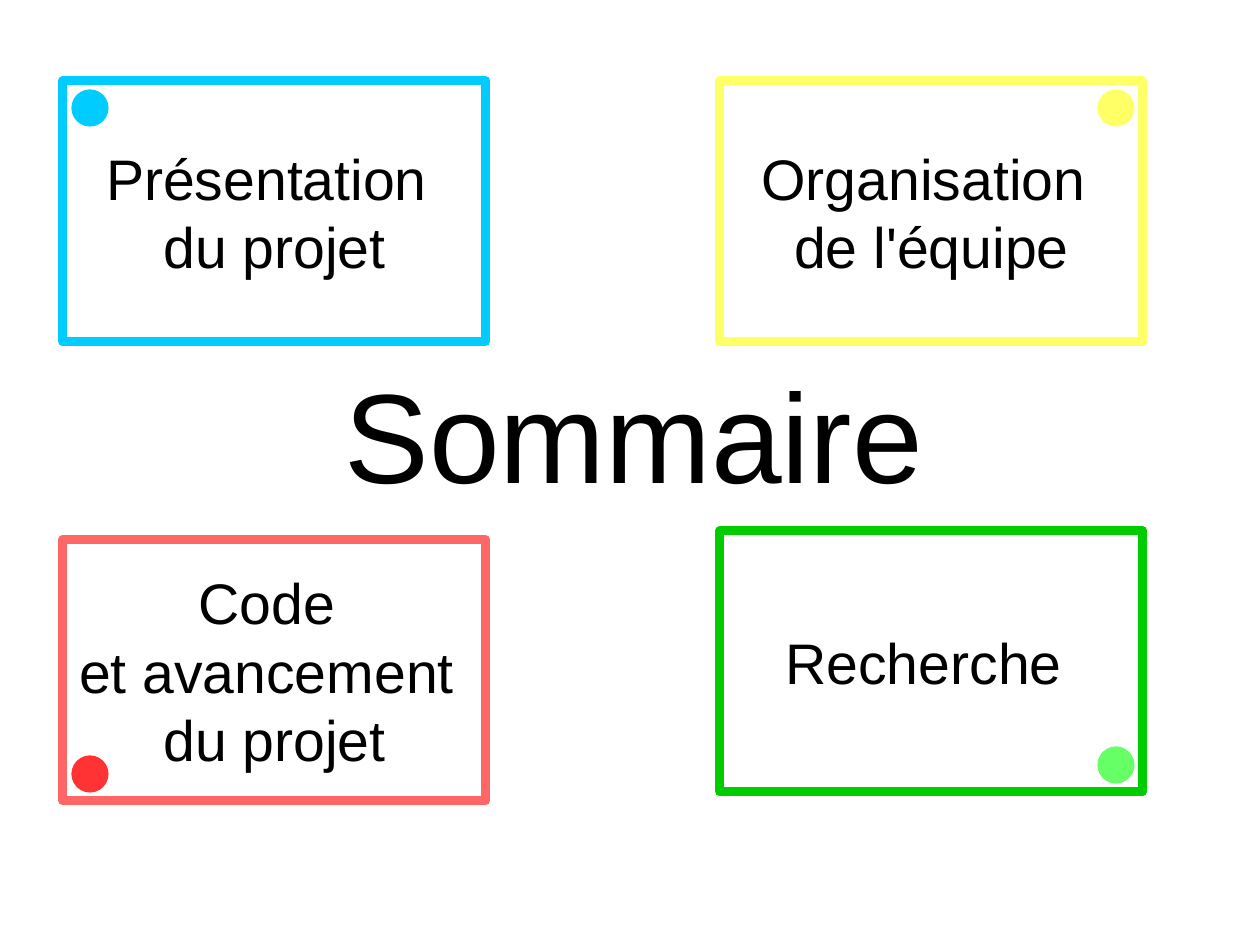
from pptx import Presentation
from pptx.dml.color import RGBColor as Rgb
from pptx.enum.shapes import MSO_SHAPE as Kind
from pptx.enum.text import MSO_ANCHOR as Anchor, MSO_AUTO_SIZE as Fit, PP_ALIGN as Align
from pptx.util import Cm, Pt

BLACK = Rgb(0x00, 0x00, 0x00)
BLUE = Rgb(0x00, 0xCC, 0xFF)
YELLOW = Rgb(0xFF, 0xFF, 0x66)
PINK = Rgb(0xFF, 0x66, 0x66)
RED = Rgb(0xFF, 0x33, 0x33)
GREEN = Rgb(0x00, 0xCC, 0x00)
LIME = Rgb(0x66, 0xFF, 0x66)

COLS, ROWS = 140, 105
LEFT, RIGHT = 7, 80
TOP = 9
CARD = (47, 29)
DOT = (4, 4)
GAP = 1


def write(frame, text, size=36, color=BLACK, font="Arial", align=Align.CENTER, anchor=Anchor.MIDDLE):
    frame.word_wrap = True
    frame.auto_size = Fit.NONE
    frame.vertical_anchor = anchor
    frame.text = text
    for para in frame.paragraphs:
        para.alignment = align
        for run in para.runs:
            run.font.name = font
            run.font.size = Pt(size)
            run.font.color.rgb = color


class Deck:
    def __init__(self, wide, high):
        self.show = Presentation()
        self.show.slide_width = Cm(wide)
        self.show.slide_height = Cm(high)
        self.col = self.show.slide_width // COLS
        self.row = self.show.slide_height // ROWS
        self.slide = self.show.slides.add_slide(self.show.slide_layouts[5])

    def area(self, x, y, w, h):
        return x * self.col, y * self.row, w * self.col, h * self.row

    def title(self, text, x, y, w, h):
        head = self.slide.shapes.title
        head.left, head.top, head.width, head.height = self.area(x, y, w, h)
        write(head.text_frame, text, size=80, align=Align.LEFT, anchor=Anchor.TOP)

    def shape(self, kind, x, y, size):
        item = self.slide.shapes.add_shape(kind, *self.area(x, y, *size))
        item.shadow.inherit = False
        return item

    def card(self, text, x, y, color):
        box = self.shape(Kind.RECTANGLE, x, y, CARD)
        box.fill.background()
        box.line.color.rgb = color
        box.line.width = Pt(5.67)
        frame = box.text_frame
        frame.margin_left = frame.margin_right = round(1.75 * self.col)
        frame.margin_top = frame.margin_bottom = round(1.15 * self.row)
        write(frame, text)

    def dot(self, x, y, color, right, low):
        across = CARD[0] - DOT[0] - GAP if right else GAP
        down = CARD[1] - DOT[1] - GAP if low else GAP
        disc = self.shape(Kind.OVAL, x + across, y + down, DOT)
        disc.fill.solid()
        disc.fill.fore_color.rgb = color
        disc.line.color.rgb = color
        disc.line.width = Pt(0)


def main():
    deck = Deck(28, 21)
    deck.title("Sommaire", 37, 39, 68, 17)
    cards = [
        ("Présentation \ndu projet", LEFT, TOP, BLUE, BLUE),
        ("Organisation \nde l'équipe", RIGHT, TOP, YELLOW, YELLOW),
        ("Code \net avancement \ndu projet", LEFT, 60, PINK, RED),
        ("Recherche ", RIGHT, 59, GREEN, LIME),
    ]
    for text, x, y, edge, mark in cards:
        deck.card(text, x, y, edge)
        deck.dot(x, y, mark, right=x == RIGHT, low=y != TOP)
    deck.show.save("out.pptx")


if __name__ == "__main__":
    main()
